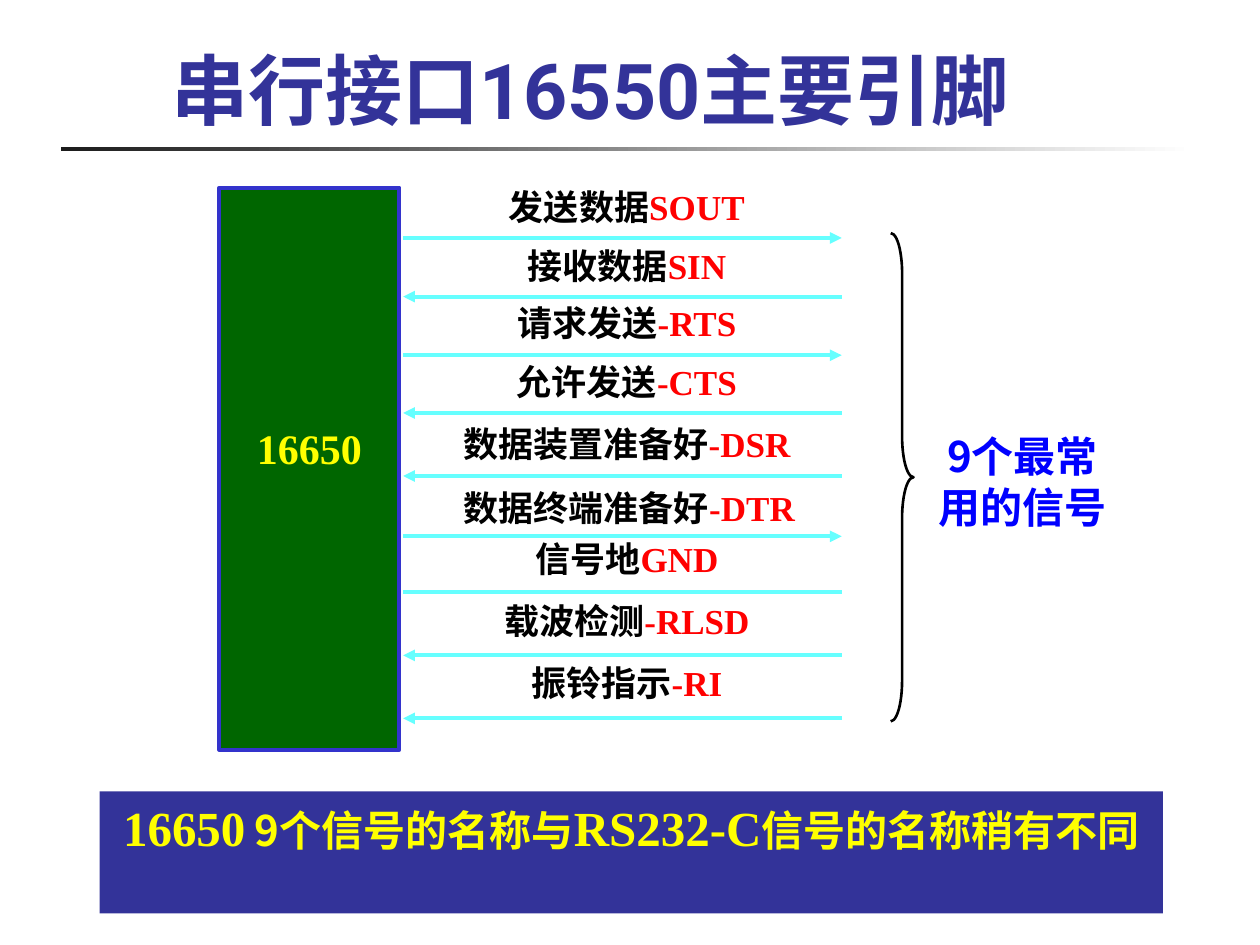
import pptx
import pptx.util
import pptx.dml.color
import pptx.enum.shapes
import pptx.enum.text
import pptx.oxml.ns
from lxml import etree

Pt = pptx.util.Pt
RGBColor = pptx.dml.color.RGBColor
MSO_SHAPE = pptx.enum.shapes.MSO_SHAPE
PP_ALIGN = pptx.enum.text.PP_ALIGN
MSO_ANCHOR = pptx.enum.text.MSO_ANCHOR
qn = pptx.oxml.ns.qn

INDIGO = RGBColor(0x33, 0x33, 0x99)
CHIP_GREEN = RGBColor(0x00, 0x66, 0x00)
CHIP_EDGE = RGBColor(0x33, 0x33, 0xCC)
CYAN = RGBColor(0x66, 0xFF, 0xFF)
YELLOW = RGBColor(0xFF, 0xFF, 0x00)
RED = RGBColor(0xFF, 0x00, 0x00)
BLUE = RGBColor(0x00, 0x00, 0xFF)
BLACK = RGBColor(0x00, 0x00, 0x00)
CHARCOAL = RGBColor(0x1C, 0x1C, 0x1C)
WHITE = RGBColor(0xFF, 0xFF, 0xFF)

CJK = "Noto Sans CJK SC"
SERIF = "Times New Roman"
HEADING = "Roboto"

LINE_LEFT, LINE_RIGHT = 230.4, 481
LABEL_LEFT = 226.8

SIGNALS = [
    ("发送数据", "SOUT", LABEL_LEFT, 105, 136, "out"),
    ("接收数据", "SIN", LABEL_LEFT, 139, 169.5, "in"),
    ("请求发送", "-RTS", LABEL_LEFT, 171.5, 203, "out"),
    ("允许发送", "-CTS", LABEL_LEFT, 205, 236, "in"),
    ("数据装置准备好", "-DSR", LABEL_LEFT, 240.5, 272, "in"),
    ("数据终端准备好", "-DTR", LABEL_LEFT + 1.4, 277, 306.5, "out"),
    ("信号地", "GND", LABEL_LEFT, 306.5, 338.5, None),
    ("载波检测", "-RLSD", LABEL_LEFT, 342, 374.5, "in"),
    ("振铃指示", "-RI", LABEL_LEFT, 377, 410.5, "in"),
]


def format_run(r, size, font, color):
    r.font.size = Pt(size)
    r.font.bold = True
    r.font.color.rgb = color
    r.font.name = font
    ea = etree.SubElement(r._r.get_or_add_rPr(), qn("a:ea"))
    ea.set("typeface", CJK)


def add_runs(p, runs):
    p.alignment = PP_ALIGN.CENTER
    for text, size, font, color in runs:
        r = p.add_run()
        r.text = text
        format_run(r, size, font, color)


def set_insets(tf, left, top, right, bottom):
    tf.margin_left, tf.margin_top = Pt(left), Pt(top)
    tf.margin_right, tf.margin_bottom = Pt(right), Pt(bottom)


def add_shape(s, kind, x, y, w, h, fill=None, line=None, weight=2.25):
    sp = s.shapes.add_shape(kind, Pt(x), Pt(y), Pt(w), Pt(h))
    sp.shadow.inherit = False
    if fill is None:
        sp.fill.background()
    else:
        sp.fill.solid()
        sp.fill.fore_color.rgb = fill
    if line is None:
        sp.line.fill.background()
    else:
        sp.line.color.rgb = line
        sp.line.width = Pt(weight)
    return sp


def add_title(s, text):
    sp = s.shapes.title
    sp.left, sp.top, sp.width, sp.height = Pt(90.7), Pt(14.4), Pt(613.4), Pt(72)
    tf = sp.text_frame
    tf.text = text
    tf.auto_size = pptx.enum.text.MSO_AUTO_SIZE.NONE
    tf.vertical_anchor = MSO_ANCHOR.MIDDLE
    p = tf.paragraphs[0]
    p.alignment = PP_ALIGN.LEFT
    format_run(p.runs[0], 44, HEADING, INDIGO)


def add_rule(s):
    sp = add_shape(s, MSO_SHAPE.RECTANGLE, 34.6, 83.9, 648, 2.2)
    sp.fill.gradient()
    sp.fill.gradient_angle = 0
    for stop, color in zip(sp.fill.gradient_stops, (CHARCOAL, WHITE)):
        stop.color.rgb = color


def add_chip(s):
    sp = add_shape(s, MSO_SHAPE.RECTANGLE, 125.3, 107.3, 103, 321.1, CHIP_GREEN, CHIP_EDGE)
    tf = sp.text_frame
    set_insets(tf, 0.7, 0.7, 0.7, 25)
    tf.vertical_anchor = MSO_ANCHOR.MIDDLE
    add_runs(tf.paragraphs[0], [("16650", 24, SERIF, YELLOW)])


def add_label(s, name, pin, x, y):
    tf = s.shapes.add_textbox(Pt(x), Pt(y), Pt(262.8), Pt(35.3)).text_frame
    tf.word_wrap = True
    set_insets(tf, 0.7, 0.7, 0.7, 0.7)
    add_runs(tf.paragraphs[0], [(name, 20, CJK, BLACK), (pin, 20, SERIF, RED)])


def add_signal_line(s, y, direction):
    start, end = LINE_LEFT, LINE_RIGHT
    if direction == "in":
        start, end = end, start
    c = s.shapes.add_connector(
        pptx.enum.shapes.MSO_CONNECTOR.STRAIGHT, Pt(start), Pt(y), Pt(end), Pt(y))
    c.line.color.rgb = CYAN
    c.line.width = Pt(2.25)
    if direction:
        tail = etree.SubElement(c.line._get_or_add_ln(), qn("a:tailEnd"))
        tail.set("type", "triangle")
    etree.SubElement(c._element.spPr, qn("a:effectLst"))


def add_brace(s):
    sp = add_shape(s, MSO_SHAPE.RIGHT_BRACE, 509, 133.2, 13, 279, line=BLACK, weight=1.5)
    sp.adjustments[0] = 1.78


def add_note(s, lines):
    tf = s.shapes.add_textbox(Pt(529.2), Pt(242.6), Pt(110.2), Pt(64.8)).text_frame
    tf.word_wrap = False
    for i, text in enumerate(lines):
        p = tf.add_paragraph() if i else tf.paragraphs[0]
        add_runs(p, [(text, 24, CJK, BLUE)])


def add_banner(s):
    sp = add_shape(s, MSO_SHAPE.RECTANGLE, 56.9, 452.2, 607.7, 69.8, INDIGO)
    tf = sp.text_frame
    tf.vertical_anchor = MSO_ANCHOR.TOP
    add_runs(tf.paragraphs[0], [
        ("16650", 28, SERIF, YELLOW),
        (" 9个信号的名称与", 24, CJK, YELLOW),
        ("RS232-C", 28, SERIF, YELLOW),
        ("信号的名称稍有不同", 24, CJK, YELLOW),
    ])


def main():
    prs = pptx.Presentation()
    prs.slide_width, prs.slide_height = Pt(720), Pt(540)
    s = prs.slides.add_slide(prs.slide_layouts[5])
    add_rule(s)
    add_title(s, "串行接口16550主要引脚")
    add_chip(s)
    for name, pin, x, label_y, line_y, direction in SIGNALS:
        add_label(s, name, pin, x, label_y)
        add_signal_line(s, line_y, direction)
    add_brace(s)
    add_note(s, ["9个最常", "用的信号"])
    add_banner(s)
    prs.save("out.pptx")


if __name__ == "__main__":
    main()
